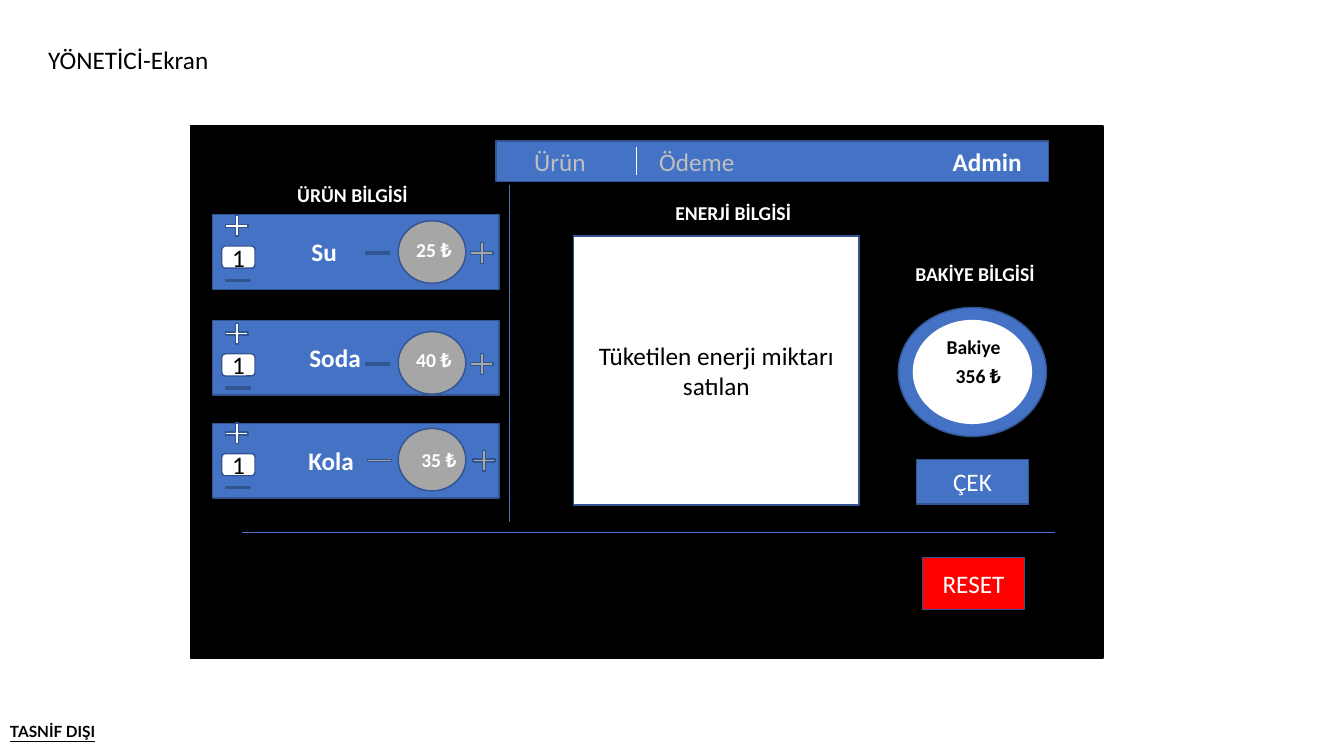
from lxml.etree import SubElement
from pptx import Presentation
from pptx.dml.color import RGBColor
from pptx.enum.shapes import MSO_CONNECTOR, MSO_SHAPE
from pptx.enum.text import MSO_ANCHOR, PP_ALIGN
from pptx.oxml.ns import qn
from pptx.util import Inches, Pt

COLORS = {
    "black": "000000", "white": "FFFFFF", "blue": "4472C4", "edge": "325491",
    "gray": "A6A6A6", "pale": "BFBFBF", "red": "FF0000",
}

PRODUCTS = [
    {"name": "Su", "price": "25 ₺", "stock": "1", "card": 2.13, "name_left": 2.99,
     "stock_top": 2.1, "coin_top": 2.19, "price_at": (4.03, 2.31), "minus_left": 3.58},
    {"name": "Soda", "price": "40 ₺", "stock": "1", "card": 3.18, "name_left": 2.97,
     "stock_top": 3.17, "coin_top": 3.29, "price_at": (4.03, 3.4), "minus_left": 3.58},
    {"name": "Kola", "price": "35 ₺", "stock": "1", "card": 4.2, "name_left": 2.96,
     "stock_top": 4.16, "coin_top": 4.25, "price_at": (4.08, 4.39), "minus_left": 3.6},
]

LABELS = [
    ("YÖNETİCİ-Ekran", (0.38, 0.39, 2.14, 0.4), 18, "black", False),
    ("Ürün", (5.2, 1.4, 1.07, 0.4), 18, "pale", False),
    ("Ödeme", (6.44, 1.4, 1.07, 0.4), 18, "pale", False),
    ("Admin", (9.35, 1.4, 1.07, 0.4), 18, "white", True),
    ("ÜRÜN BİLGİSİ", (2.85, 1.77, 1.5, 0.34), 14, "white", True),
    ("ENERJİ BİLGİSİ", (6.6, 1.94, 1.5, 0.34), 14, "white", True),
    ("BAKİYE BİLGİSİ", (8.98, 2.55, 1.5, 0.34), 14, "white", True),
    ("Bakiye", (9.29, 3.27, 1.39, 0.34), 14, "black", True),
    ("356 ₺", (9.38, 3.56, 0.8, 0.34), 14, "black", True),
]

PANELS = [
    ("", MSO_SHAPE.RECTANGLE, (4.92, 1.4, 5.48, 0.4), "blue", "edge", "white"),
    ("Tüketilen enerji miktarı satılan", MSO_SHAPE.RECTANGLE,
     (5.69, 2.34, 2.83, 2.67), "white", "edge", "black"),
    ("", MSO_SHAPE.OVAL, (8.91, 3.05, 1.47, 1.28), "blue", "edge", "white"),
    ("", MSO_SHAPE.OVAL, (9.06, 3.18, 1.17, 1.02), "white", "white", "black"),
    ("ÇEK", MSO_SHAPE.RECTANGLE, (9.09, 4.56, 1.11, 0.44), "blue", "edge", "white"),
    ("RESET", MSO_SHAPE.RECTANGLE, (9.15, 5.53, 1.01, 0.52), "red", "edge", "white"),
]

DIVIDERS = [
    ((5.05, 1.84), (5.05, 5.18), "blue"),
    ((2.4, 5.28), (10.46, 5.28), "blue"),
    ((6.31, 1.46), (6.31, 1.74), "white"),
]

prs = Presentation()
prs.slide_width, prs.slide_height = Inches(13.33), Inches(7.5)
slide = prs.slides.add_slide(prs.slide_layouts[6])


def rgb(color):
    return RGBColor.from_string(COLORS[color])


def write(paragraph, text, size, color, bold=False, font="Calibri"):
    run = paragraph.add_run()
    run.text = text
    run.font.name = font
    run.font.size = Pt(size)
    run.font.bold = bold
    run.font.color.rgb = rgb(color)
    return run


def add_label(text, box, size, color, bold, font="Calibri"):
    frame = slide.shapes.add_textbox(*map(Inches, box)).text_frame
    frame.word_wrap = True
    return write(frame.paragraphs[0], text, size, color, bold, font)


def add_panel(text, preset, box, fill, edge="edge", ink="black"):
    panel = slide.shapes.add_shape(preset, *map(Inches, box))
    panel.shadow.inherit = False
    panel.fill.solid()
    panel.fill.fore_color.rgb = rgb(fill)
    panel.line.color.rgb = rgb(edge)
    panel.line.width = Pt(1)
    if text:
        frame = panel.text_frame
        frame.word_wrap = True
        frame.vertical_anchor = MSO_ANCHOR.MIDDLE
        frame.paragraphs[0].alignment = PP_ALIGN.CENTER
        write(frame.paragraphs[0], text, 18, ink)
    return panel


def add_plus(left, top, fill):
    plus = add_panel("", MSO_SHAPE.MATH_PLUS, (left, top, 0.3, 0.28), fill)
    plus.adjustments[0] = 0.105


def add_minus(left, top, fill):
    add_panel("", MSO_SHAPE.MATH_MINUS, (left, top, 0.33, 0.08), fill)


def add_divider(start, end, color):
    divider = slide.shapes.add_connector(
        MSO_CONNECTOR.STRAIGHT, *map(Inches, start + end))
    divider.line.color.rgb = rgb(color)
    divider.line.width = Pt(0.5)
    SubElement(divider._element.spPr, qn("a:effectLst"))


def add_product(product):
    card, stock, coin = product["card"], product["stock_top"], product["coin_top"]
    add_panel("", MSO_SHAPE.RECTANGLE, (2.11, card, 2.84, 0.74), "blue")
    add_label(product["name"], (product["name_left"], card + 0.17, 0.9, 0.4),
              18, "white", True)
    add_plus(2.2, stock, "white")
    count = add_panel(product["stock"], MSO_SHAPE.ROUNDED_RECTANGLE,
                      (2.2, stock + 0.34, 0.33, 0.22), "white").text_frame
    count.margin_left = count.margin_right = 0
    add_minus(2.2, stock + 0.64, "white")
    add_panel("", MSO_SHAPE.OVAL, (3.95, coin, 0.67, 0.62), "gray")
    add_label(product["price"], product["price_at"] + (0.72, 0.34), 14, "white", True)
    add_minus(product["minus_left"], coin + 0.28, "gray")
    add_plus(product["minus_left"] + 1.05, coin + 0.18, "gray")


classification = add_label("TASNİF DIŞI", (0, 7.11, 13.33, 0.29), 11, "black", True, "Lato")
classification.font.underline = True
add_panel("", MSO_SHAPE.RECTANGLE, (1.89, 1.25, 9.05, 5.28), "black", "black")
for panel in PANELS:
    add_panel(*panel)
for product in PRODUCTS:
    add_product(product)
for divider in DIVIDERS:
    add_divider(*divider)
for label in LABELS:
    add_label(*label)

prs.save("out.pptx")
